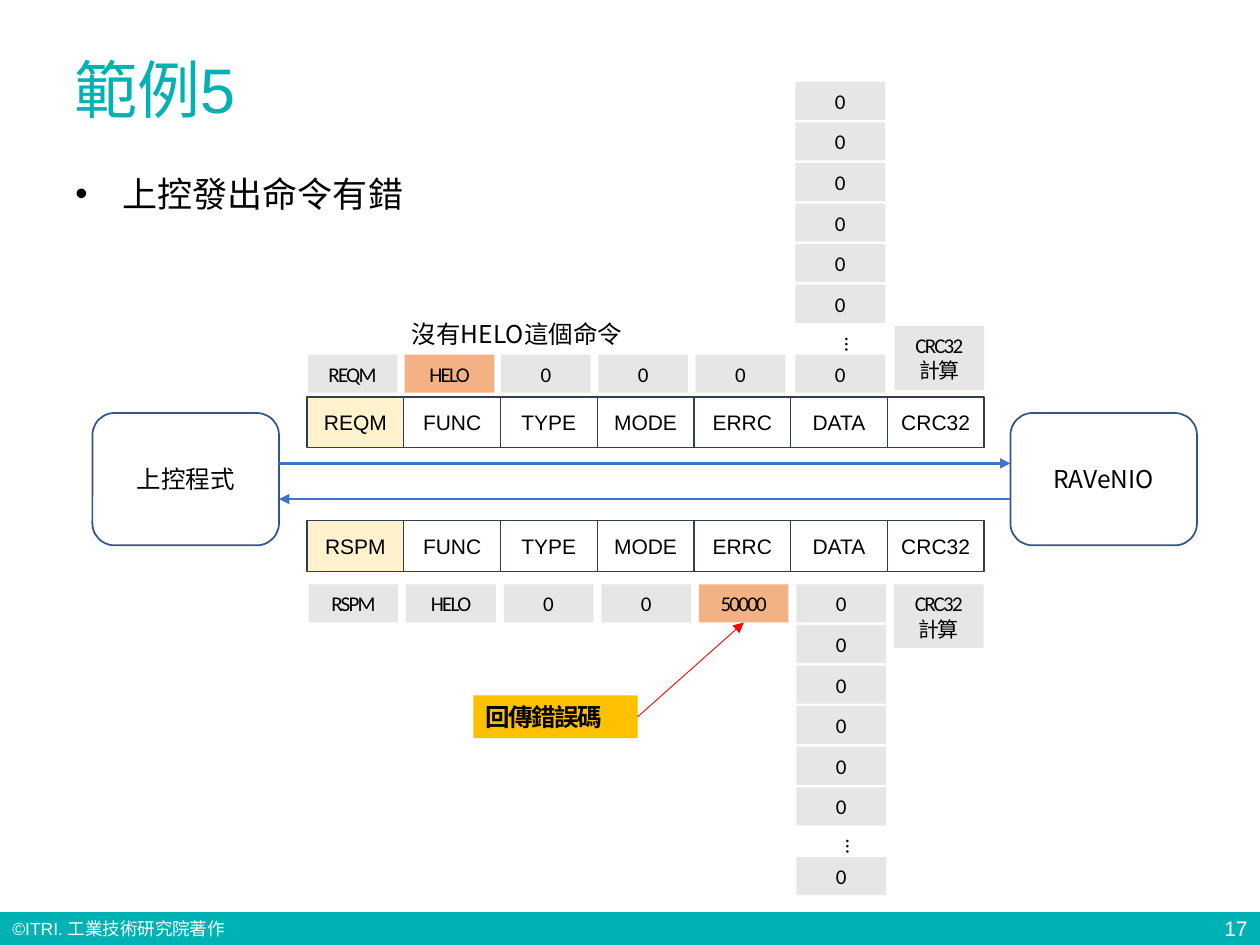
import pptx
import pptx.util
import pptx.dml.color
import pptx.enum.shapes
import pptx.enum.text
import pptx.oxml.ns
from lxml import etree

Pt = pptx.util.Pt
RGB = pptx.dml.color.RGBColor
SHAPE = pptx.enum.shapes.MSO_SHAPE
ALIGN = pptx.enum.text.PP_ALIGN
ANCHOR = pptx.enum.text.MSO_ANCHOR
qn = pptx.oxml.ns.qn

TEAL = RGB(0x00, 0xB2, 0xB3)
WHITE = RGB(0xFF, 0xFF, 0xFF)
BLACK = RGB(0x00, 0x00, 0x00)
NAVY = RGB(0x32, 0x54, 0x91)
BLUE = RGB(0x44, 0x72, 0xC4)
SLATE = RGB(0x33, 0x3F, 0x50)
CREAM = RGB(0xFF, 0xF2, 0xCC)
GRAY = RGB(0xE7, 0xE6, 0xE6)
PEACH = RGB(0xF4, 0xB1, 0x83)
GOLD = RGB(0xFF, 0xC0, 0x00)
RED = RGB(0xFF, 0x00, 0x00)

CJK = "Noto Sans CJK SC"
MID = {"vertical_anchor": ANCHOR.MIDDLE, "word_wrap": True}
TOP = {"vertical_anchor": ANCHOR.TOP, "word_wrap": True}
LOOSE = {"vertical_anchor": ANCHOR.TOP, "word_wrap": False}
HEAD = {"size": Pt(36), "name": "Arial"}
BODY = {"size": Pt(20), "name": "Arial"}
FOOT = {"size": Pt(10), "name": "Arial"}
LABEL = {"size": Pt(12), "name": "Arial"}
VALUE = {"size": Pt(12), "name": "Calibri"}
HAN = {"size": Pt(12), "name": CJK}
NODE = {"size": Pt(14), "name": CJK}
ALERT = {"size": Pt(14), "name": CJK, "bold": True}

FIELDS = ["FUNC", "TYPE", "MODE", "ERRC", "DATA", "CRC32"]
CHIP_W, CHIP_H = 51.2, 21.8


def apply(item, form):
    for key, val in form.items():
        setattr(item, key, val)


def write(shape, lines, frame=MID, align=ALIGN.CENTER, color=BLACK, tight=False):
    text = shape.text_frame
    apply(text, frame)
    for num, (words, font) in enumerate(lines):
        para = text.add_paragraph() if num else text.paragraphs[0]
        para.alignment = align
        run = para.add_run()
        run.text = words
        run.font.color.rgb = color
        apply(run.font, font)
        props = run._r.get_or_add_rPr()
        etree.SubElement(props, qn("a:ea"), typeface=CJK)
        if tight:
            props.set("spc", "-100")


def note(slide, box, words, font, **form):
    shape = slide.shapes.add_textbox(*map(Pt, box))
    write(shape, [(words, font)], **form)
    return shape


def block(slide, box, lines=(), fill=None, line=None, width=1, kind=SHAPE.RECTANGLE, **form):
    shape = slide.shapes.add_shape(kind, *map(Pt, box))
    shape.shadow.inherit = False
    if fill is None:
        shape.fill.background()
    else:
        shape.fill.solid()
        shape.fill.fore_color.rgb = fill
    if line is None:
        shape.line.fill.background()
    else:
        apply(shape.line, {"width": Pt(width)})
        shape.line.color.rgb = line
    write(shape, lines, **form)
    return shape


def arrow(slide, start, end, color, width):
    link = slide.shapes.add_connector(
        pptx.enum.shapes.MSO_CONNECTOR.STRAIGHT, *map(Pt, start + end))
    link.line.color.rgb = color
    link.line.width = Pt(width)
    etree.SubElement(link.line._get_or_add_ln(), qn("a:tailEnd"), type="triangle")
    etree.SubElement(link._element.spPr, qn("a:effectLst"))
    return link


def footer(slide, box):
    x, y, w, h = box
    block(slide, box, fill=TEAL)
    note(slide, (x, y, 281, h), "©ITRI. 工業技術研究院著作", FOOT,
         frame=TOP, align=ALIGN.LEFT, color=WHITE)
    note(slide, (x + w - 44.6, y, 44.6, h), "17", LABEL, align=ALIGN.RIGHT, color=WHITE)


def header(slide, box):
    x, y, w, h = box
    note(slide, (x, y, w, 70), "範例5", HEAD, frame=TOP, align=ALIGN.LEFT, color=TEAL)
    shape = note(slide, (x + 0.7, y + 69.8, w, h - 69.8), "上控發出命令有錯", BODY,
                 frame=TOP, align=ALIGN.LEFT)
    props = shape.text_frame.paragraphs[0]._p.get_or_add_pPr()
    props.set("marL", str(Pt(27)))
    props.set("indent", str(-Pt(27)))
    etree.SubElement(props, qn("a:buFont"), typeface="Arial")
    etree.SubElement(props, qn("a:buChar"), char="•")


def nodes(slide, box):
    x, y, w, h = box
    side = 106.6
    far = x + w - side
    for left, words in ((x, "上控程式"), (far, "RAVeNIO")):
        block(slide, (left, y, side, h), [(words, NODE)], line=NAVY,
              kind=SHAPE.ROUNDED_RECTANGLE)
    near = x + side
    arrow(slide, (near, y + 28.8), (far, y + 28.8), BLUE, 1.5)
    arrow(slide, (far, y + 49.2), (near, y + 49.2), BLUE, 1.5)


def fields(slide, box, first):
    x, y, w, h = box
    names = [first] + FIELDS
    step = w / len(names)
    for num, name in enumerate(names):
        block(slide, (x + num * step, y, step, h), [(name, LABEL)],
              fill=None if num else CREAM, line=SLATE, width=0.75)


def chip(slide, x, y, words, fill=GRAY):
    return block(slide, (x, y, CHIP_W, CHIP_H), [(words, VALUE)], fill=fill, tight=True)


def stack(slide, x, y):
    for drop in [num * 23.2 for num in range(6)] + [155.9]:
        chip(slide, x, y + drop, "0")
    dots = note(slide, (x + 15.3, y + 139, 28.8, 15.8), "…", VALUE,
                frame=LOOSE, align=ALIGN.LEFT)
    dots.text_frame._txBody.bodyPr.set("vert", "eaVert")


def values(slide, box, lefts, words, wrong, pile, check):
    x, y = box
    chips = [chip(slide, x + left, y, word, PEACH if num == wrong else GRAY)
             for num, (left, word) in enumerate(zip(lefts, words))]
    stack(slide, x + lefts[5], y + pile)
    block(slide, (x + lefts[6], y + check, CHIP_W, 36.4),
          [("CRC32", VALUE), ("計算", HAN)], fill=GRAY, tight=True)
    return chips[wrong]


def alert(slide, box, target):
    x, y, w, h = box
    shape = block(slide, box, [("回傳錯誤碼", ALERT)], fill=GOLD,
                  align=ALIGN.LEFT, tight=True)
    link = arrow(slide, (x + w, y + h / 2), (x + w, y), RED, 0.5)
    link.begin_connect(shape, 3)
    link.end_connect(target, 2)


def main():
    deck = pptx.Presentation()
    apply(deck, {"slide_width": Pt(720), "slide_height": Pt(540)})
    slide = deck.slides.add_slide(deck.slide_layouts[6])
    footer(slide, (0, 521.2, 720, 18.8))
    header(slide, (35.3, 25.2, 658.8, 463))
    nodes(slide, (52.8, 236, 631.2, 75.6))
    fields(slide, (175.5, 226.8, 386.8, 29), "REQM")
    fields(slide, (175.5, 297.4, 386.8, 29), "RSPM")
    values(slide, (175.9, 202.6), [0, 55.4, 110.5, 166.1, 221.7, 278.7, 335.3],
           ["REQM", "HELO", "0", "0", "0"], 1, -155.9, -16.2)
    note(slide, (228.2, 178.6, 193, 24.5), "沒有HELO這個命令", NODE, align=ALIGN.LEFT)
    error = values(slide, (176.4, 333.9), [num * 55.75 for num in range(7)],
                   ["RSPM", "HELO", "0", "0", "50000"], 4, 0, 0)
    alert(slide, (270.5, 397.4, 93.9, 24.4), error)
    deck.save("out.pptx")


if __name__ == "__main__":
    main()
